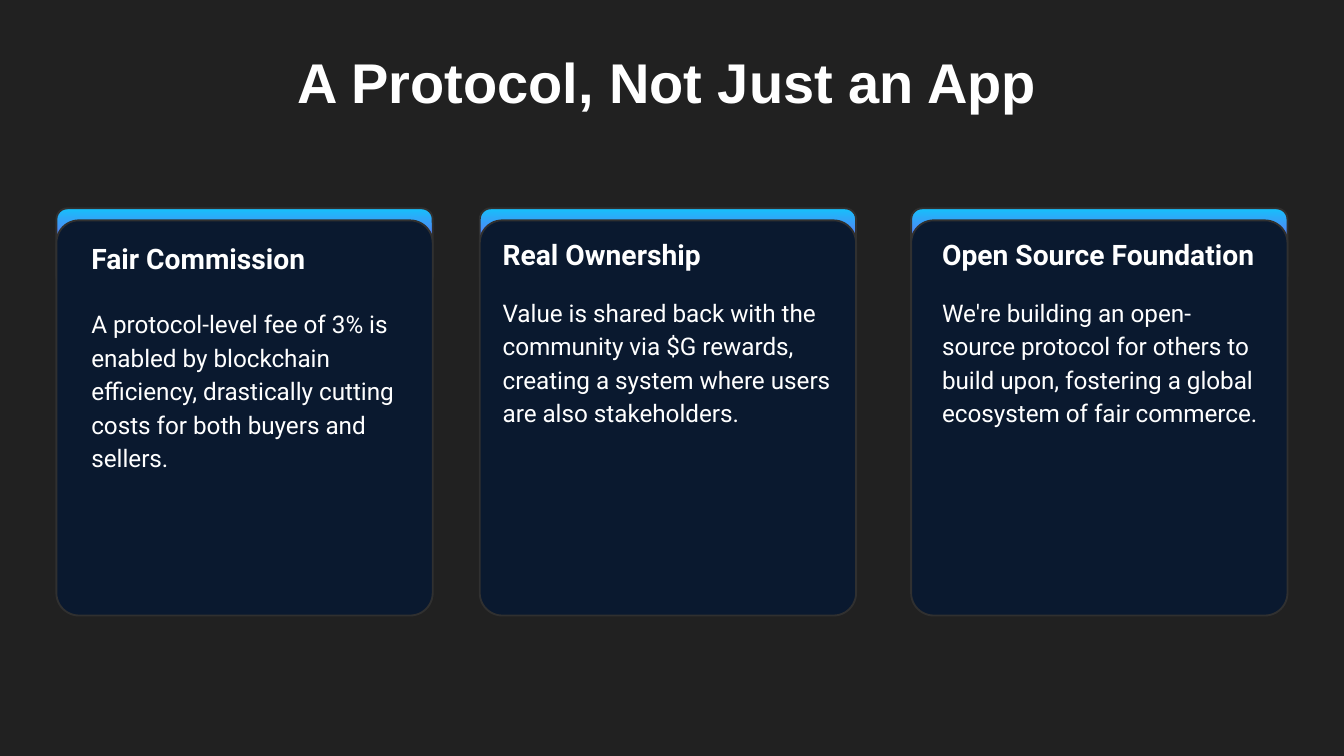
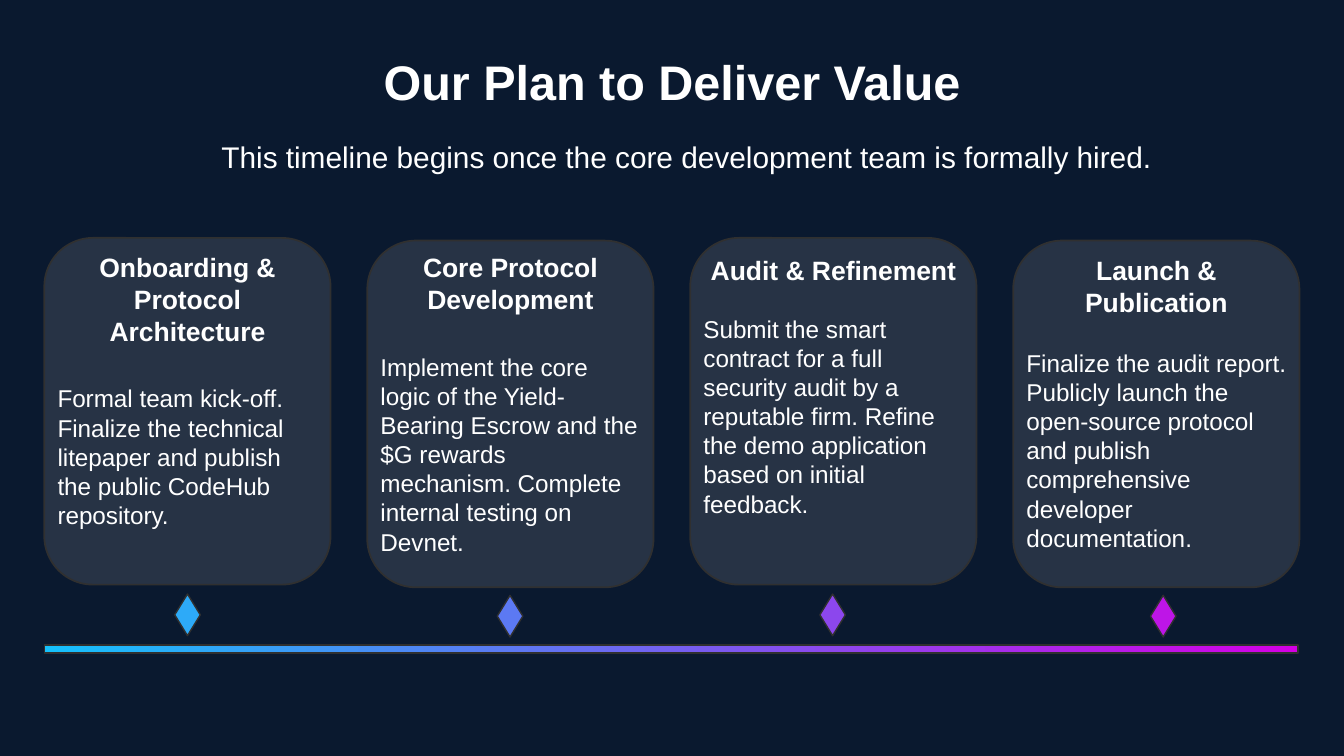
from pptx import Presentation
from pptx import util as u
from pptx.dml.color import RGBColor
from pptx.enum import shapes, text
from pptx.oxml import ns, xmlchemy

NAVY, CHARCOAL, WHITE, EDGE, MIST = "0A192F", "212121", "FFFFFF", "303030", "ADADAD"
CYAN, MAGENTA = "16C0FB", "D300E5"
COLUMNS = 100  # the slide's width in grid cells; rows are as tall as columns are wide
RIGHTWARD, DOWNWARD = 0, 270
KIND = shapes.MSO_SHAPE
LEFT, CENTRE = text.PP_ALIGN.LEFT, text.PP_ALIGN.CENTER

# left of card, left and width of words, inset, gap, heading, body
PILLARS = [
    (4.2, 4.2, 28, 2.6, 15.8, "Fair Commission",
     "A protocol-level fee of 3% is enabled by blockchain efficiency, "
     "drastically cutting costs for both buyers and sellers."),
    (35.7, 35.4, 28.7, 2, 12, "Real Ownership",
     "Value is shared back with the community via $G rewards, "
     "creating a system where users are also stakeholders."),
    (67.8, 68.1, 27.7, 2, 12, "Open Source Foundation",
     "We're building an open-source protocol for others to build upon, "
     "fostering a global ecosystem of fair commerce."),
]
# left of marker, marker colour, gap, height of words, heading, body
STAGES = [
    (13, "2DAAF8", 19.8, 23, "Onboarding & Protocol Architecture",
     "Formal team kick-off. Finalize the technical litepaper and publish "
     "the public CodeHub repository."),
    (37, "5C79F3", 19.8, 25, "Core Protocol Development",
     "Implement the core logic of the Yield-Bearing Escrow and the $G rewards "
     "mechanism. Complete internal testing on Devnet."),
    (61, "8C47ED", 15, 21.9, "Audit & Refinement",
     "Submit the smart contract for a full security audit by a reputable firm. "
     "Refine the demo application based on initial feedback."),
    (85.6, "BE15E7", 16.3, 24.5, "Launch & Publication",
     "Finalize the audit report. Publicly launch the open-source protocol "
     "and publish comprehensive developer documentation."),
]


def colour(code):
    return RGBColor.from_string(code)


def apply(target, values):
    for name, value in values.items():
        setattr(target, name, value)


class Slides:
    """Holds the deck, the shared style and the current page."""

    def __init__(self):
        self.deck = Presentation()
        apply(self.deck, {"slide_width": u.Inches(10), "slide_height": u.Inches(5.625)})
        self.page = None

    def cells(self, count):
        return u.Emu(round(count * self.deck.slide_width / COLUMNS))

    def place(self, box, area):
        apply(box, dict(zip(("left", "top", "width", "height"), map(self.cells, area))))

    def new_page(self, layout, background):
        self.page = self.deck.slides.add_slide(self.deck.slide_layouts.get_by_name(layout))
        fill = self.page.background.fill
        fill.solid()
        fill.fore_color.rgb = colour(background)

    def frame(self, box, insets=(1, 1, 1, 1), grow=True):
        """Set wrapping, top anchor and insets (left, top, right, bottom)."""
        fit = text.MSO_AUTO_SIZE
        apply(box.text_frame, {
            "word_wrap": True,
            "vertical_anchor": text.MSO_ANCHOR.TOP,
            "auto_size": fit.SHAPE_TO_FIT_TEXT if grow else fit.NONE})
        apply(box.text_frame, dict(zip(
            ("margin_left", "margin_top", "margin_right", "margin_bottom"),
            map(self.cells, insets))))

    def fill_para(self, para, words, size, font="Arial", bold=False, align=LEFT,
                  before=0, after=0, spacing=1.0):
        apply(para, {"alignment": align, "line_spacing": spacing,
                     "space_before": u.Pt(before), "space_after": u.Pt(after)})
        span = para.add_run()
        span.text = words
        apply(span.font, {"name": font, "size": u.Pt(size), "bold": bold})
        span.font.color.rgb = colour(WHITE)

    def heading(self, box, area, words, size, bold):
        self.place(box, area)
        self.frame(box)
        para = box.text_frame.paragraphs[0]
        self.fill_para(para, words, size, bold=bold, align=CENTRE)
        return para

    def title(self, area, words, size):
        self.heading(self.page.shapes.title, area, words, size, True)

    def subtitle(self, area, words, size):
        para = self.heading(self.page.placeholders[1], area, words, size, False)
        props = para._p.get_or_add_pPr()
        for name in ("marL", "indent"):
            props.set(name, "0")
        props.append(xmlchemy.OxmlElement("a:buNone"))

    def shape(self, kind, area, fill, line=0.75, corner=None, opacity=None, angle=None):
        """Draw a shape; an angle makes fill a pair of gradient colours."""
        box = self.page.shapes.add_shape(kind, *map(self.cells, area))
        box.shadow.inherit = False
        if corner is not None:
            box.adjustments[0] = corner
        box.line.color.rgb = colour(EDGE)
        box.line.width = u.Pt(line)
        if angle is not None:
            box.fill.gradient()
            box.fill.gradient_angle = angle
            for stop, code, position in zip(box.fill.gradient_stops, fill, (0, 1)):
                stop.color.rgb = colour(code)
                stop.position = position
            return
        box.fill.solid()
        box.fill.fore_color.rgb = colour(fill)
        if opacity is not None:
            alpha = xmlchemy.OxmlElement("a:alpha")
            alpha.set("val", str(round(opacity * 100000)))
            box._element.spPr.find(".//" + ns.qn("a:srgbClr")).append(alpha)

    def words(self, area, heading, body, **frame):
        """Add a text box of two paragraphs, each given as format values."""
        box = self.page.shapes.add_textbox(*map(self.cells, area))
        self.frame(box, **frame)
        self.fill_para(box.text_frame.paragraphs[0], **heading)
        self.fill_para(box.text_frame.add_paragraph(), **body)

    def pillar(self, left, words_left, width, inset, gap, heading, body):
        self.shape(KIND.ROUNDED_RECTANGLE, (left, 15.5, 28, 5.8), (CYAN, MAGENTA),
                   line=0.98, corner=0.14, angle=DOWNWARD)
        self.shape(KIND.ROUNDED_RECTANGLE, (left, 16.4, 28, 29.4), NAVY,
                   line=0.98, corner=0.06)
        style = {"font": "Roboto", "spacing": 1.15, "before": gap}
        self.words((words_left, 16.3, width, 29.5),
                   {"words": heading, "size": 15.1, "bold": True, **style},
                   {"words": body, "size": 13, "after": gap, **style},
                   insets=(inset, inset / 2, inset, inset), grow=False)

    def stage(self, index, marker_left, marker, gap, height, heading, body):
        left = 3.3 + 24.03 * index
        odd, late = index % 2, index // 2
        self.shape(KIND.ROUNDED_RECTANGLE, (left, 17.7 + 0.2 * odd, 21.3, 25.8), MIST,
                   line=0.92, corner=0.17, opacity=0.18)
        self.words((left, 17.7 + 0.2 * late, 21.3, height),
                   {"words": heading, "size": 14.2, "bold": True, "align": CENTRE},
                   {"words": body, "size": 13, "before": gap})
        self.shape(KIND.DIAMOND, (marker_left, 44.2 + 0.1 * odd, 1.9, 3.1), marker)


def main():
    slides = Slides()

    slides.new_page("Title Only", CHARCOAL)
    slides.title((20.9, 2.5, 57.5, 7.1), "A Protocol, Not Just an App", 30)
    for pillar in PILLARS:
        slides.pillar(*pillar)

    slides.new_page("Title and Content", NAVY)
    slides.title((20.5, 2.9, 59.1, 6.4), "Our Plan to Deliver Value", 26)
    slides.subtitle((14.6, 9.3, 73, 4.7),
                    "This timeline begins once the core development team is formally hired.", 16)
    slides.shape(KIND.RECTANGLE, (3.3, 48, 93.3, 0.6), (CYAN, MAGENTA), angle=RIGHTWARD)
    for index, stage in enumerate(STAGES):
        slides.stage(index, *stage)

    slides.deck.save("out.pptx")


if __name__ == "__main__":
    main()
